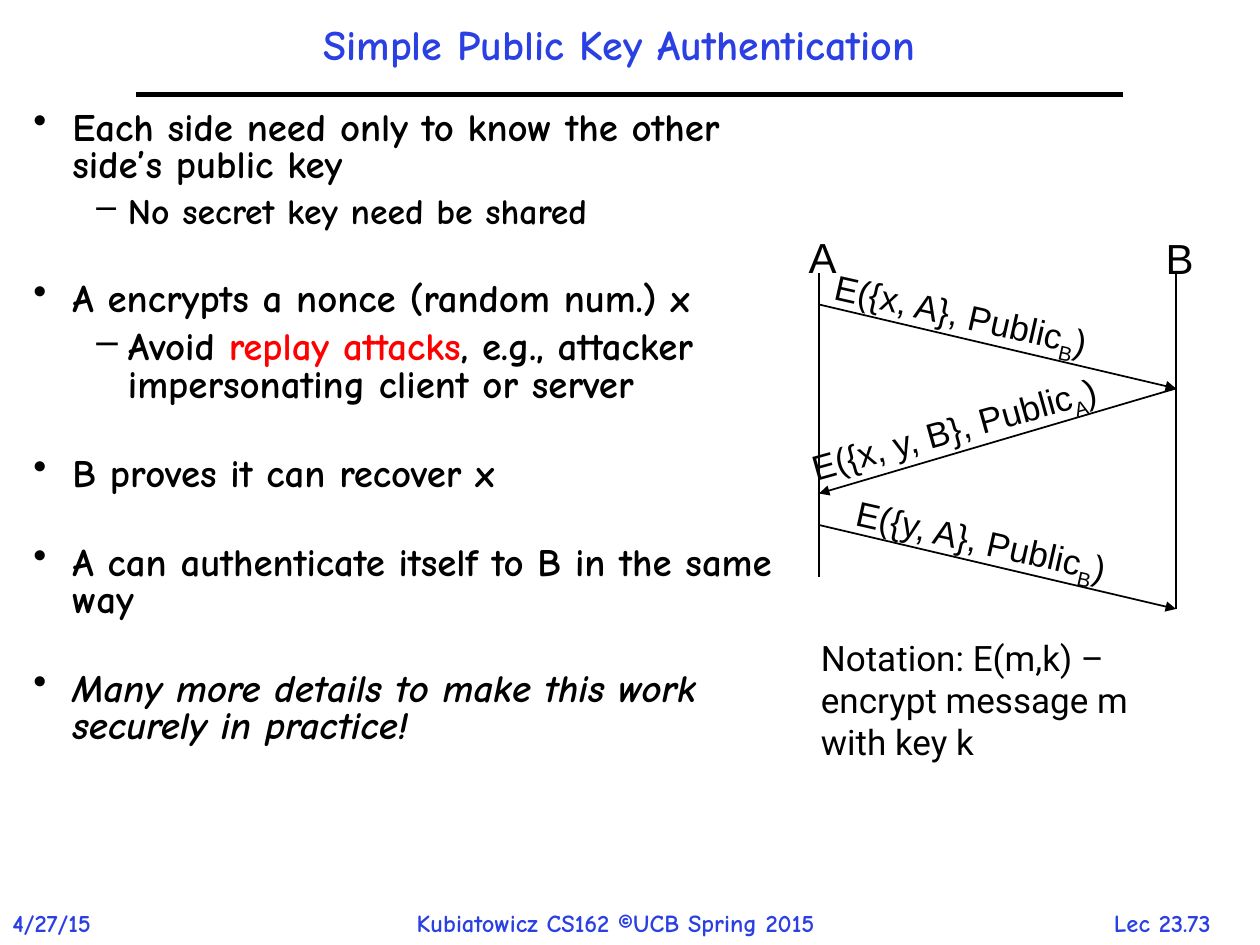
from lxml import etree
from pptx import Presentation
from pptx.dml.color import RGBColor
from pptx.enum.shapes import MSO_CONNECTOR
from pptx.enum.text import MSO_ANCHOR, MSO_AUTO_SIZE, PP_ALIGN
from pptx.oxml.ns import qn
from pptx.util import Inches, Pt

STRAIGHT = MSO_CONNECTOR.STRAIGHT
LEFT, CENTER = PP_ALIGN.LEFT, PP_ALIGN.CENTER
TOP, MIDDLE = MSO_ANCHOR.TOP, MSO_ANCHOR.MIDDLE
GROW, FIXED = MSO_AUTO_SIZE.SHAPE_TO_FIT_TEXT, MSO_AUTO_SIZE.NONE

COLORS = {"text": "000000", "accent": "2A40E2", "alert": "FF0000"}
HAND, SANS, NOTE = "Comic Neue", "Arial", "Roboto"

# The page is a grid of 120 columns by 90 rows, twelve to the inch
COLUMNS, ROWS, PER_INCH = 120, 90, 12
A_COLUMN, B_COLUMN = 78, 112
BULLETS = {0: ("•", 0.31, 0.31), 1: ("–", 0.75, 0.25)}  # mark, margin, hang
SECTION_GAP, ITEM_GAP = 29.5, 6.3


def grid(units):
    return Inches(units / PER_INCH)


def color(name):
    return RGBColor.from_string(COLORS[name])


def set_font(font, face, size, name="text", bold=False):
    font.name, font.size, font.bold = face, Pt(size), bold
    font.color.rgb = color(name)


def add_box(page, left, top, width, height, wrap=True, size_rule=FIXED, anchor=TOP):
    box = page.shapes.add_textbox(*map(grid, (left, top, width, height)))
    frame = box.text_frame
    frame.word_wrap, frame.auto_size = wrap, size_rule
    frame.vertical_anchor = anchor
    return box


def add_text(page, area, text, face, size, name="text", bold=False,
             align=LEFT, **layout):
    box = add_box(page, *area, **layout)
    para = box.text_frame.paragraphs[0]
    para.text, para.alignment = text, align
    set_font(para.font, face, size, name, bold)
    return box


def add_line(page, start, end, width=1, arrow=False):
    line = page.shapes.add_connector(STRAIGHT, *map(grid, (*start, *end)))
    line.line.color.rgb = color("text")
    line.line.width = Pt(width)
    if arrow:
        outline = line.line._get_or_add_ln()
        etree.SubElement(outline, qn("a:tailEnd"), type="triangle")
    etree.SubElement(line._element.spPr, qn("a:effectLst"))


def add_message(page, start, end, center, width, angle, body, key):
    """Arrow between the two parties with a slanted label."""
    add_line(page, start, end, arrow=True)
    height = 5.16
    box = add_box(page, center[0] - width / 2, center[1] - height / 2,
                  width, height, wrap=False, size_rule=GROW)
    box.rotation = angle
    para = box.text_frame.paragraphs[0]
    set_font(para.font, SANS, 20)
    for text in (body, key, ")"):
        span = para.add_run()
        span.text = text
        if text == key:
            span.font._element.set("baseline", "-25000")


def add_bullet(para, level, size, spans, gap, italic=False):
    mark, margin, hang = BULLETS[level]
    para.level, para.line_spacing, para.space_before = level, 0.8, Pt(gap)
    set_font(para.font, HAND, size, bold=True)
    para.font.italic = italic
    for text, name in spans:
        span = para.add_run()
        span.text = text
        if name != "text":
            span.font.color.rgb = color(name)
    props = para._p.get_or_add_pPr()
    props.set("marL", str(Inches(margin)))
    props.set("indent", str(-Inches(hang)))
    bullet = etree.Element(qn("a:buChar"), char=mark)
    props.find(qn("a:defRPr")).addprevious(bullet)


def add_points(page):
    points = [
        (0, 22.2, [("Each side need only to know the other side’s public key", "text")]),
        (1, 20.4, [("No secret key need be shared", "text")]),
        (0, 22.2, [("A encrypts a nonce (random num.) x", "text")]),
        (1, 22.2, [("Avoid ", "text"), ("replay attacks", "alert"),
                   (", e.g., attacker impersonating client or server", "text")]),
        (0, 22.2, [("B proves it can recover x", "text")]),
        (0, 22.2, [("A can authenticate itself to B in the same way", "text")]),
        (0, 22.2, [("Many more details to make this work securely in practice!", "text")]),
    ]
    frame = add_box(page, 2, 10, 74, 70).text_frame
    last = len(points) - 1
    for index, (level, size, spans) in enumerate(points):
        para = frame.add_paragraph() if index else frame.paragraphs[0]
        gap = 0 if index == 0 else ITEM_GAP if level else SECTION_GAP
        add_bullet(para, level, size, spans, gap, italic=index == last)


def add_exchange(page):
    # Lifelines and their names
    for name, column, top, bottom in (("A", A_COLUMN, 21.5, 55),
                                      ("B", B_COLUMN, 21.6, 58)):
        add_line(page, (column, 26), (column, bottom))
        add_text(page, (column - 2.16, top, 4.2, 4.32), name, SANS, 24,
                 wrap=False, size_rule=GROW)

    # Messages in order
    messages = [
        ((A_COLUMN, 29), (B_COLUMN, 37), (91.74, 29.94), 27.24, 12.8,
         "E({x, A}, Public", "B"),
        ((B_COLUMN, 37), (A_COLUMN, 47), (91.14, 40.68), 30.96, 344.4,
         "E({x, y, B}, Public", "A"),
        ((A_COLUMN, 50), (B_COLUMN, 58), (93.66, 51.48), 27, 12.8,
         "E({y, A}, Public", "B"),
    ]
    for message in messages:
        add_message(page, *message)

    # Notation
    add_text(page, (77, 60, 36, 17), "Notation: E(m,k) – encrypt message m with key k",
             NOTE, 20, size_rule=GROW)


def add_frame(page):
    # Title and rule
    title = add_text(page, (12, -1, 94, 11), "Simple Public Key Authentication",
                     HAND, 24, "accent", True, CENTER, anchor=MIDDLE)
    title.text_frame.paragraphs[0].line_spacing = 0.9
    add_line(page, (13, 9), (107, 9), width=3)

    # Footer
    for left, width, text, align in (
            (0, 12, "4/27/15", LEFT),
            (38.5, 46.5, "Kubiatowicz CS162 ©UCB Spring 2015", LEFT),
            (102.7, 16, "Lec 23.73", CENTER)):
        add_text(page, (left, 85.9, width, 4), text, HAND, 14, "accent", True,
                 align, wrap=False, size_rule=GROW)


def main():
    deck = Presentation()
    deck.slide_width, deck.slide_height = grid(COLUMNS), grid(ROWS)
    page = deck.slides.add_slide(deck.slide_layouts[6])
    add_frame(page)
    add_points(page)
    add_exchange(page)
    deck.save("out.pptx")


if __name__ == "__main__":
    main()
